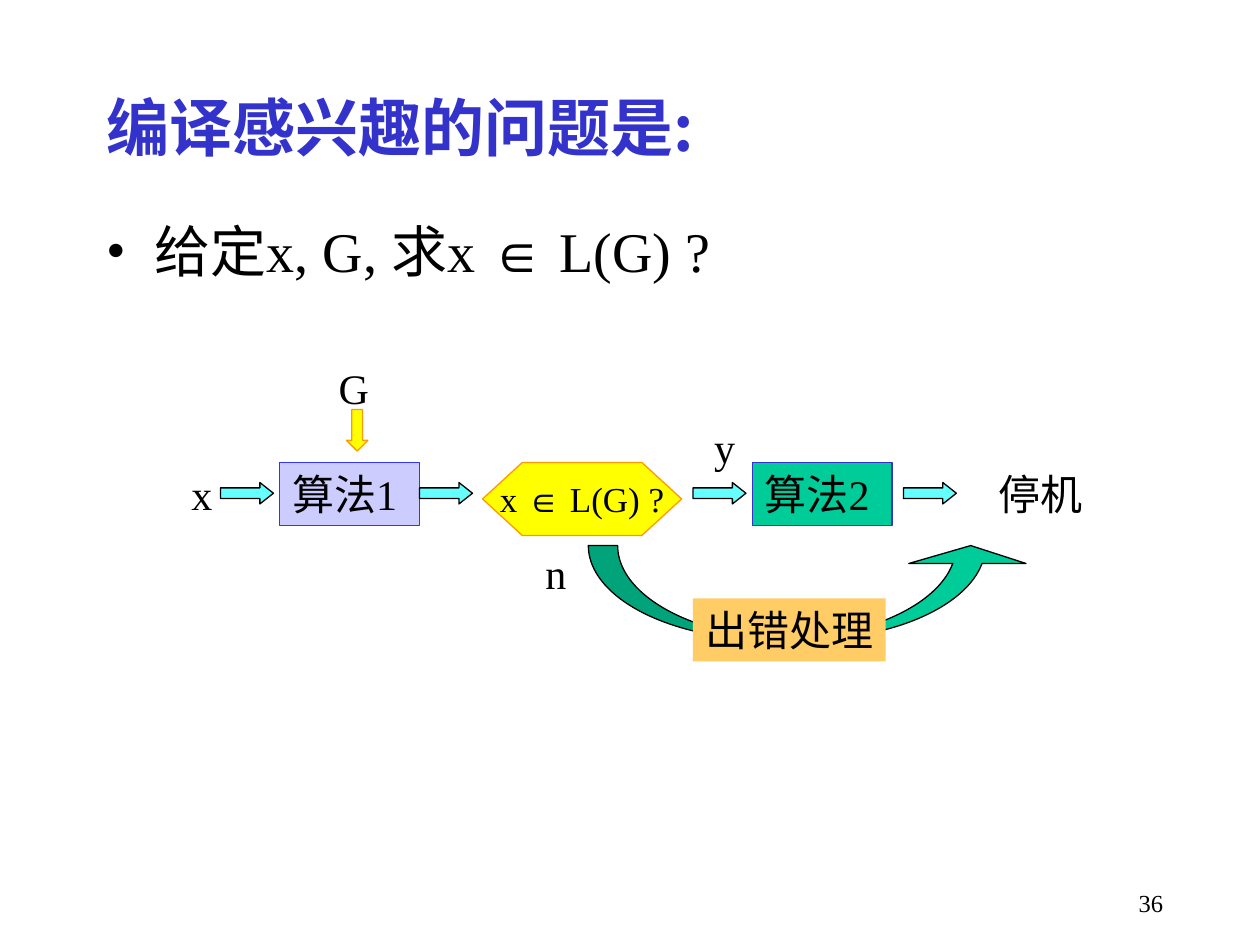
"""Build a slide showing how a compiler decides whether x belongs to L(G)."""
from lxml.etree import SubElement
from pptx import Presentation
from pptx.dml.color import RGBColor
from pptx.enum.shapes import MSO_SHAPE
from pptx.enum.text import MSO_ANCHOR, MSO_AUTO_SIZE, PP_ALIGN
from pptx.oxml.ns import qn
from pptx.util import Inches, Pt

BLACK = RGBColor(0x00, 0x00, 0x00)
BLUE = RGBColor(0x33, 0x33, 0xCC)
BRIGHT_BLUE = RGBColor(0x33, 0x33, 0xFF)
LAVENDER = RGBColor(0xCC, 0xCC, 0xFF)
GREEN = RGBColor(0x00, 0xCC, 0x99)
CYAN = RGBColor(0x66, 0xFF, 0xFF)
YELLOW = RGBColor(0xFF, 0xFF, 0x00)
ORANGE = RGBColor(0xFF, 0x99, 0x00)
SAND = RGBColor(0xFF, 0xCC, 0x66)

SERIF, SANS, CHINESE = "Times New Roman", "Arial", "Noto Sans CJK SC"

TITLE = "编译感兴趣的问题是:"
QUESTION = [("给定x, G, 求x ", SERIF), ("∈", SANS), (" L(G) ?", SERIF)]
DECISION = [("x ", SERIF), ("∈", SANS), (" L(G) ?", SERIF)]
PAGE_NUMBER = "36"

ROW_TOP, ROW_HEIGHT = 3.67, 0.5
LABELS = [
    ("x", 1.42, ROW_TOP, 0.36),
    ("G", 2.59, 2.83, 0.44),
    ("y", 5.57, 3.3, 0.36),
    ("n", 4.23, 4.3, 0.36),
    ("停机", 7.83, ROW_TOP, 0.9),
]
STEPS = [
    ("算法1", 2.22, ROW_TOP, 1.11, LAVENDER, BRIGHT_BLUE),
    ("算法2", 5.97, ROW_TOP, 1.11, GREEN, BLUE),
    ("出错处理", 5.5, 4.75, 1.53, SAND, None),
]
FLOW_ARROW_LEFTS = [1.75, 3.33, 5.5, 7.17]


def write(shape, runs, size, color=BLACK, align=PP_ALIGN.LEFT,
          anchor=MSO_ANCHOR.TOP, wrap=False, grow=False):
    frame = shape.text_frame
    frame.word_wrap = wrap
    frame.vertical_anchor = anchor
    frame.auto_size = MSO_AUTO_SIZE.SHAPE_TO_FIT_TEXT if grow else MSO_AUTO_SIZE.NONE
    para = frame.paragraphs[0]
    para.alignment = align
    for text, font_name in runs:
        span = para.add_run()
        span.text = text
        span.font.size = Pt(size)
        span.font.color.rgb = color
        span.font.name = font_name
        east_asian = SubElement(span.font._element, qn("a:ea"))
        east_asian.set("typeface", CHINESE)
    return para


def add_text(page, place, runs, size, **options):
    box = page.shapes.add_textbox(*map(Inches, place))
    return write(box, runs, size, **options)


def add_block(page, kind, place, fill, line, adjustments=()):
    block = page.shapes.add_shape(kind, *map(Inches, place))
    block.shadow.inherit = False
    block.fill.solid()
    block.fill.fore_color.rgb = fill
    if line is None:
        block.line.fill.background()
    else:
        block.line.color.rgb = line
        block.line.width = Pt(0.75)
    for index, value in enumerate(adjustments):
        block.adjustments[index] = value
    return block


def add_bullet(para):
    properties = para._p.get_or_add_pPr()
    properties.set("marL", str(Inches(0.38)))
    properties.set("indent", str(Inches(-0.38)))
    bullet_color = SubElement(properties, qn("a:buClr"))
    SubElement(bullet_color, qn("a:srgbClr")).set("val", str(BLACK))
    SubElement(properties, qn("a:buFont")).set("typeface", SERIF)
    SubElement(properties, qn("a:buChar")).set("char", "•")


def add_flow(page):
    add_block(page, MSO_SHAPE.CURVED_UP_ARROW, (4.67, 4.33, 3.5, 0.75),
              GREEN, BLACK, (0.31, 1.24, 0.19))
    for text, left, top, width, fill, line in STEPS:
        step = add_block(page, MSO_SHAPE.RECTANGLE,
                         (left, top, width, ROW_HEIGHT), fill, line)
        write(step, [(text, SERIF)], 24, grow=True)
    decision = add_block(page, MSO_SHAPE.FLOWCHART_PREPARATION,
                         (3.83, ROW_TOP, 1.58, 0.58), YELLOW, ORANGE)
    write(decision, DECISION, 20, align=PP_ALIGN.CENTER, anchor=MSO_ANCHOR.MIDDLE)
    for left in FLOW_ARROW_LEFTS:
        add_block(page, MSO_SHAPE.RIGHT_ARROW, (left, 3.83, 0.42, 0.17),
                  CYAN, BLACK, (0.5, 0.63))
    add_block(page, MSO_SHAPE.DOWN_ARROW, (2.75, 3.25, 0.17, 0.33),
              YELLOW, ORANGE, (0.5, 0.5))
    for text, left, top, width in LABELS:
        add_text(page, (left, top, width, ROW_HEIGHT), [(text, SERIF)], 24, grow=True)


def main():
    deck = Presentation()
    deck.slide_width, deck.slide_height = Inches(10), Inches(7.5)
    page = deck.slides.add_slide(deck.slide_layouts[6])
    title = add_text(page, (0.75, 0.5, 5.5, 1), [(TITLE, CHINESE)], 36,
                     color=BLUE, anchor=MSO_ANCHOR.MIDDLE, wrap=True)
    title.runs[0].font.bold = True
    question = add_text(page, (0.75, 1.67, 8.5, 0.92), QUESTION, 32, wrap=True)
    add_bullet(question)
    add_flow(page)
    add_text(page, (7.25, 7, 2.08, 0.5), [(PAGE_NUMBER, SERIF)], 14,
             align=PP_ALIGN.RIGHT, wrap=True)
    deck.save("out.pptx")


if __name__ == "__main__":
    main()
